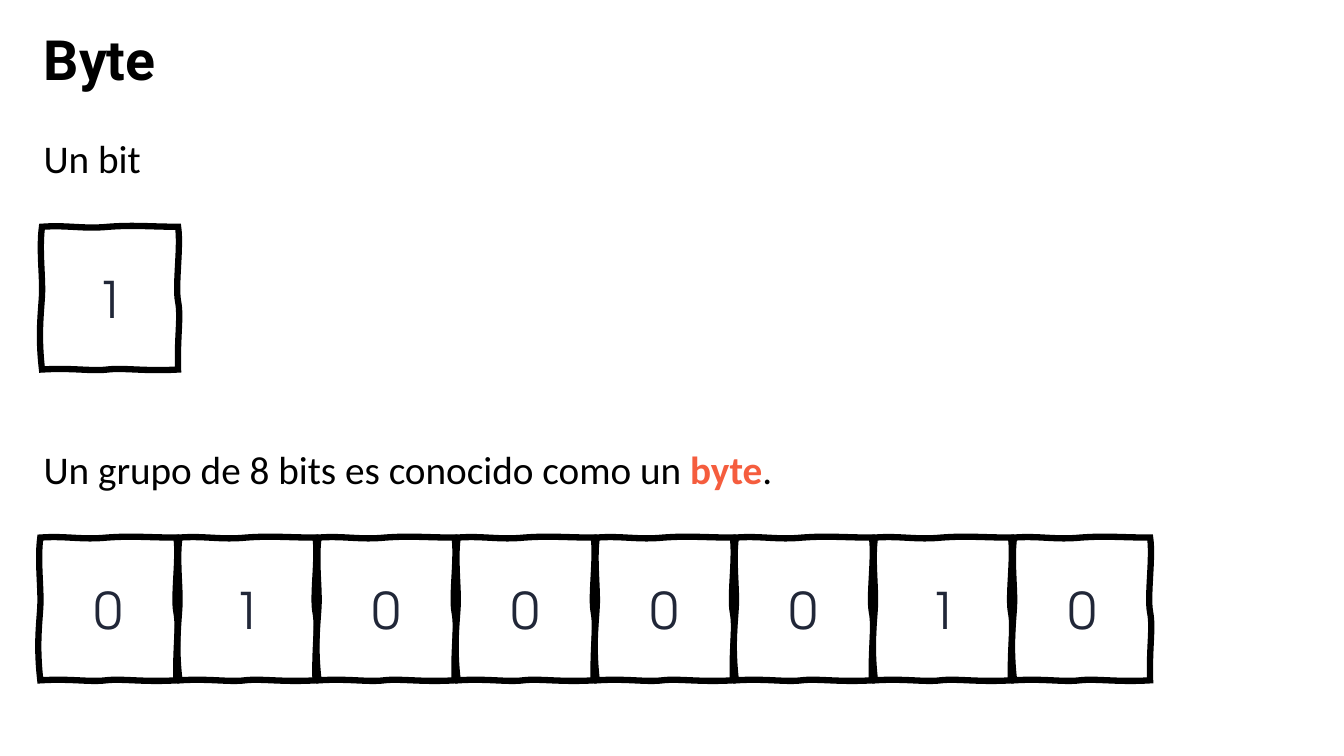
from dataclasses import dataclass

from lxml import etree
from pptx import Presentation
from pptx import util as u
from pptx.dml.color import RGBColor
from pptx.enum import text
from pptx.oxml import ns


@dataclass(frozen=True)
class Theme:
    ink: str = "000000"
    digit: str = "212738"
    accent: str = "F55D3E"
    head: str = "Roboto"
    body: str = "Calibri"
    mono: str = "TeX Gyre Adventor"
    title: float = 39.6
    note: float = 28
    bit: float = 36
    line: float = 4.5


EDGE = [
    ((18, -1.4), (29.5, 1.8), (47.5, 0)),
    ((66, -1.4), (77.5, 0), (97.2, 0)),
    ((99.4, 14), (95, 41.8), (97.2, 53.3)),
    ((99.4, 64.8), (96.5, 77.8), (97.2, 102)),
    ((73.4, 103.4), (58.3, 100.6), (46.8, 102)),
    ((35.3, 103.4), (21.6, 100.6), (0, 102)),
    ((-2.9, 77), (-0.7, 61.9), (0, 49)),
    ((0.7, 36.7), (-2.2, 15.8), (0, 0)),
]


class Deck:
    def __init__(self, theme):
        self.theme = theme
        self.file = Presentation()
        self.file.slide_width = u.Pt(960)
        self.file.slide_height = u.Pt(540)
        self.page = self.file.slides.add_slide(self.file.slide_layouts[5])

    def style(self, run, face, size, color, bold=False):
        run.font.name = face
        run.font.size = u.Pt(size)
        run.font.bold = bold
        run.font.color.rgb = RGBColor.from_string(color)

    def title(self, words, left, top, width, height):
        box = self.page.shapes.title
        box.left, box.top = u.Pt(left), u.Pt(top)
        box.width, box.height = u.Pt(width), u.Pt(height)
        frame = box.text_frame
        frame.text = words
        frame.auto_size = text.MSO_AUTO_SIZE.NONE
        frame.vertical_anchor = text.MSO_ANCHOR.MIDDLE
        para = frame.paragraphs[0]
        para.alignment = text.PP_ALIGN.LEFT
        para.line_spacing = 0.9
        look = self.theme
        self.style(para.runs[0], look.head, look.title, look.ink, True)

    def note(self, parts, left, top, width, height):
        box = self.page.shapes.add_textbox(
            u.Pt(left), u.Pt(top), u.Pt(width), u.Pt(height))
        frame = box.text_frame
        frame.word_wrap = True
        para = frame.paragraphs[0]
        para.line_spacing = 0.9
        look = self.theme
        for words, key in parts:
            run = para.add_run()
            run.text = words
            color = look.accent if key else look.ink
            self.style(run, look.body, look.note, color, key)

    def curve(self, cell):
        lines = list(cell.element.iter(ns.qn("a:lnTo")))
        for line, points in zip(lines, EDGE):
            line.tag = ns.qn("a:cubicBezTo")
            line.remove(line[0])
            for x, y in points:
                etree.SubElement(line, ns.qn("a:pt"),
                                 x=str(int(u.Pt(x))), y=str(int(u.Pt(y))))

    def bit(self, value, left, top):
        pen = self.page.shapes.build_freeform(u.Pt(left), u.Pt(top))
        pen.add_line_segments(
            [(u.Pt(left + x), u.Pt(top + y)) for _, _, (x, y) in EDGE])
        cell = pen.convert_to_shape()
        self.curve(cell)
        look = self.theme
        cell.shadow.inherit = False
        cell.fill.background()
        cell.line.color.rgb = RGBColor.from_string(look.ink)
        cell.line.width = u.Pt(look.line)
        stroke = cell.element.spPr.find(ns.qn("a:ln"))
        etree.SubElement(stroke, ns.qn("a:miter"), lim="800000")
        frame = cell.text_frame
        frame.text = value
        frame.vertical_anchor = text.MSO_ANCHOR.MIDDLE
        para = frame.paragraphs[0]
        para.alignment = text.PP_ALIGN.CENTER
        self.style(para.runs[0], look.mono, look.bit, look.digit)


def main():
    deck = Deck(Theme())
    deck.title("Byte", 24, 18, 912, 54)
    deck.note([("Un grupo de 8 bits es conocido como un ", False),
               ("byte", True), (".", False)], 24, 318, 912, 48)
    deck.bit("1", 30, 162)
    for n, value in enumerate("01000010"):
        deck.bit(value, 28.8 + 99.36 * n, 384)
    deck.note([("Un bit", False)], 24, 96, 912, 48)
    deck.file.save("out.pptx")


if __name__ == "__main__":
    main()
